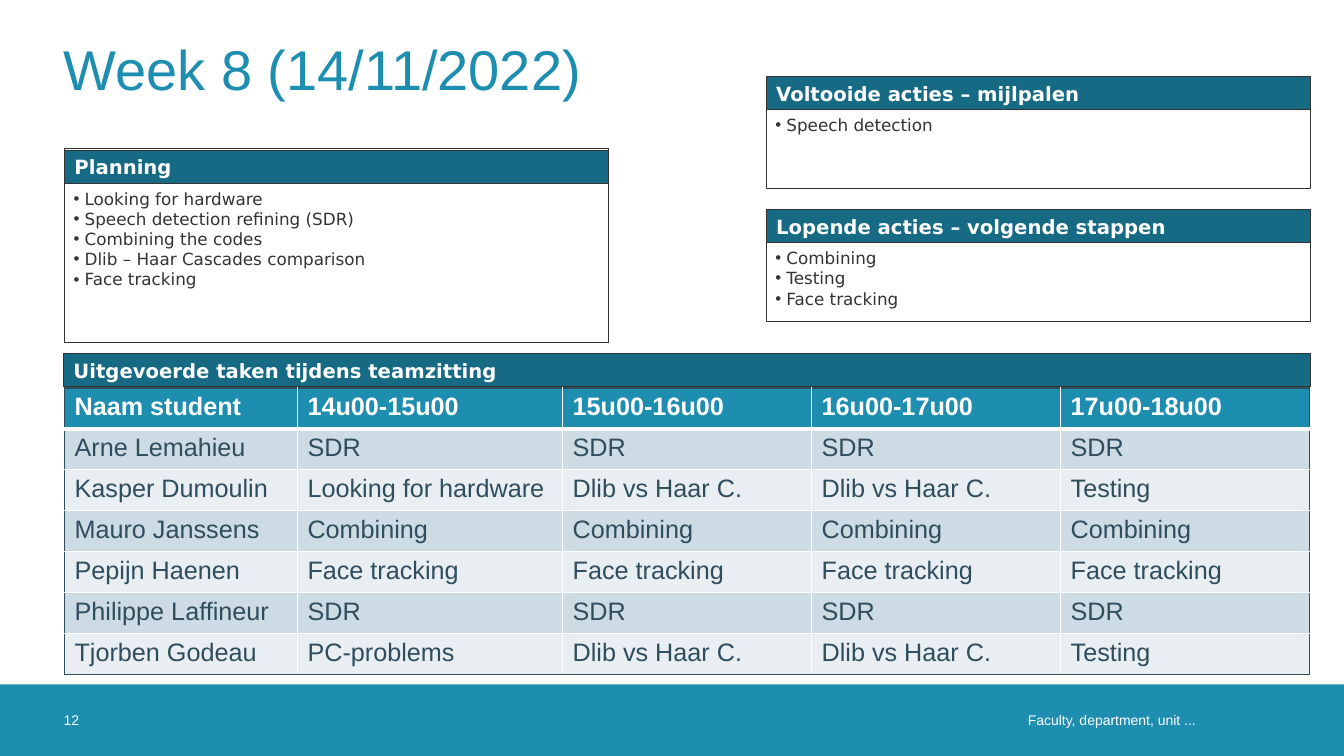
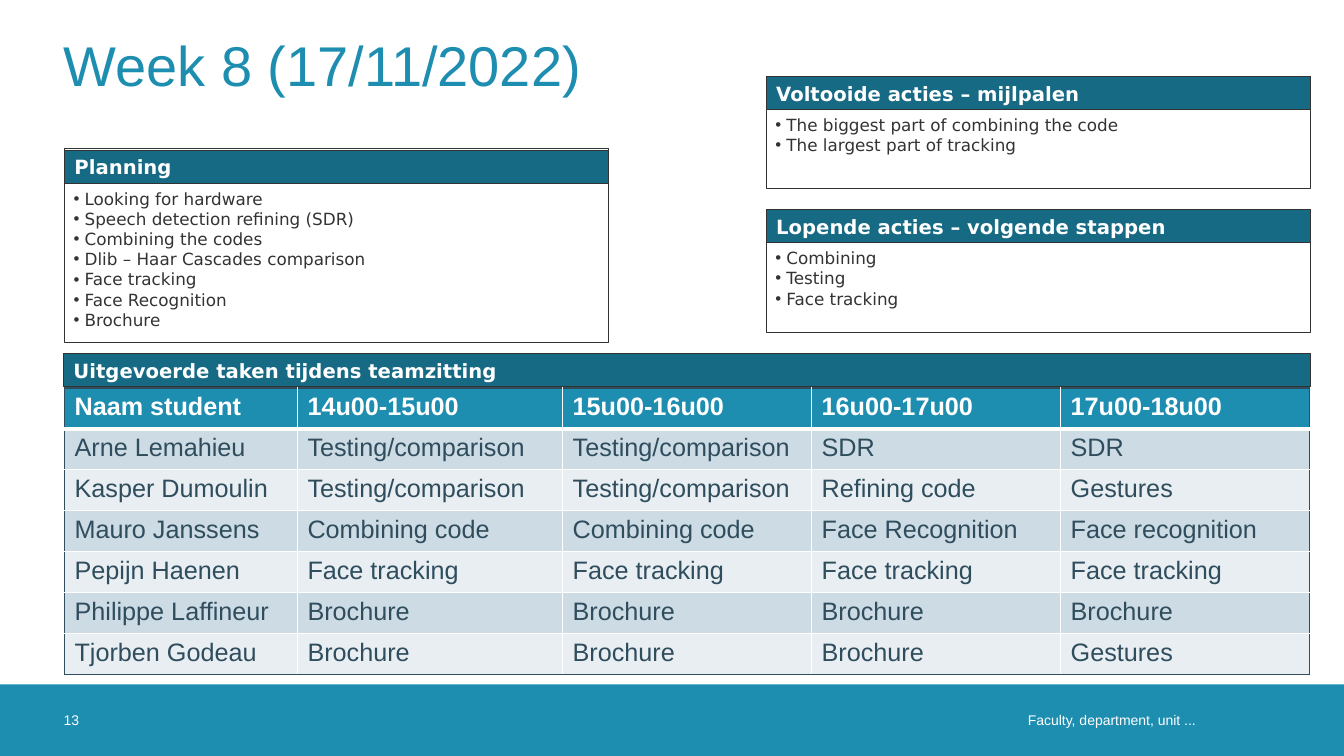
from dataclasses import dataclass
from typing import Optional

from lxml.etree import SubElement
from pptx import Presentation
from pptx.dml.color import RGBColor
from pptx.enum.shapes import MSO_SHAPE
from pptx.enum.text import MSO_ANCHOR, MSO_AUTO_SIZE, PP_ALIGN
from pptx.oxml import parse_xml
from pptx.oxml.ns import nsdecls, qn
from pptx.shapes.autoshape import Shape
from pptx.slide import Slide
from pptx.table import _Cell
from pptx.util import Inches, Pt

WHITE = RGBColor(0xFF, 0xFF, 0xFF)
BLUE = RGBColor(0x1D, 0x8D, 0xB0)
TEAL = RGBColor(0x16, 0x6A, 0x84)
DARK = RGBColor(0x33, 0x33, 0x33)
SLATE = RGBColor(0x2F, 0x4D, 0x5D)
ROW_FILLS = (RGBColor(0xE8, 0xEE, 0xF2), RGBColor(0xCD, 0xDB, 0xE4))

SANS = "Arial"
PANEL_FONT = "DejaVu Sans"
FOOTER = "Faculty, department, unit ..."
LEFT = 0.63
BAR_H = 0.33
BAND_TOP, BAND_H = 6.79, 0.71
COL_WIDTHS = (2.31, 2.63, 2.47, 2.47, 2.47)
TABLE_HEAD = ("Naam student", "14u00-15u00", "15u00-16u00", "16u00-17u00", "17u00-18u00")
PLANNING = (
    "Looking for hardware",
    "Speech detection refining (SDR)",
    "Combining the codes",
    "Dlib – Haar Cascades comparison",
    "Face tracking",
)
NEXT_STEPS = ("Combining", "Testing", "Face tracking")


@dataclass(frozen=True)
class Panel:
    """A framed list under a heading bar."""

    title: str
    items: tuple[str, ...]
    ph_idx: int
    left: float
    top: float
    height: float
    bar_gap: float = 0


@dataclass(frozen=True)
class Week:
    """The content of one team session."""

    number: int
    title: str
    title_top: float
    panels: tuple[Panel, ...]
    tasks: tuple[tuple[str, ...], ...]


def make_panels(
    planning: tuple[str, ...], done: tuple[str, ...], next_height: float
) -> tuple[Panel, ...]:
    """Return the three panels of a session."""
    return (
        Panel("Planning", planning, 2, 0.64, 1.47, 1.93, 0.02),
        Panel("Voltooide acties – mijlpalen", done, 4, 7.6, 0.76, 1.11),
        Panel("Lopende acties – volgende stappen", NEXT_STEPS, 1, 7.6, 2.08, next_height),
    )


WEEKS = (
    Week(
        12,
        "Week 8 (14/11/2022)",
        0.05,
        make_panels(PLANNING, ("Speech detection",), 1.11),
        (
            ("Arne Lemahieu", "SDR", "SDR", "SDR", "SDR"),
            ("Kasper Dumoulin", "Looking for hardware", "Dlib vs Haar C.", "Dlib vs Haar C.", "Testing"),
            ("Mauro Janssens", "Combining", "Combining", "Combining", "Combining"),
            ("Pepijn Haenen", "Face tracking", "Face tracking", "Face tracking", "Face tracking"),
            ("Philippe Laffineur", "SDR", "SDR", "SDR", "SDR"),
            ("Tjorben Godeau", "PC-problems", "Dlib vs Haar C.", "Dlib vs Haar C.", "Testing"),
        ),
    ),
    Week(
        13,
        "Week 8 (17/11/2022)",
        0.01,
        make_panels(
            PLANNING + ("Face Recognition", "Brochure"),
            ("The biggest part of combining the code", "The largest part of tracking"),
            1.22,
        ),
        (
            ("Arne Lemahieu", "Testing/comparison", "Testing/comparison", "SDR", "SDR"),
            ("Kasper Dumoulin", "Testing/comparison", "Testing/comparison", "Refining code", "Gestures"),
            ("Mauro Janssens", "Combining code", "Combining code", "Face Recognition", "Face recognition"),
            ("Pepijn Haenen", "Face tracking", "Face tracking", "Face tracking", "Face tracking"),
            ("Philippe Laffineur", "Brochure", "Brochure", "Brochure", "Brochure"),
            ("Tjorben Godeau", "Brochure", "Brochure", "Brochure", "Gestures"),
        ),
    ),
)


def place(sp: Shape, left: float, top: float, width: float, height: float) -> None:
    """Move and size a shape, in inches."""
    sp.left, sp.top = Inches(left), Inches(top)
    sp.width, sp.height = Inches(width), Inches(height)


def write(
    sp: Shape, lines: tuple[str, ...], font: str, size: float, color: RGBColor,
    bold: bool = False, anchor: MSO_ANCHOR = MSO_ANCHOR.MIDDLE,
    align: PP_ALIGN = PP_ALIGN.LEFT, inset: float = 0.1,
) -> None:
    """Fill a shape with evenly formatted paragraphs."""
    tf = sp.text_frame
    tf.word_wrap, tf.auto_size, tf.vertical_anchor = True, MSO_AUTO_SIZE.NONE, anchor
    tf.margin_left = tf.margin_right = Inches(inset)
    tf.margin_top = tf.margin_bottom = Inches(inset / 2)
    tf.text = "\n".join(lines)
    for p in tf.paragraphs:
        p.alignment, p.space_before = align, Pt(0)
        p.font.name, p.font.size, p.font.bold = font, Pt(size), bold
        p.font.color.rgb = color


def add_rect(
    s: Slide, left: float, top: float, width: float, height: float,
    fill: Optional[RGBColor] = None, line: Optional[RGBColor] = DARK,
) -> Shape:
    """Draw a flat rectangle."""
    sp = s.shapes.add_shape(
        MSO_SHAPE.RECTANGLE, Inches(left), Inches(top), Inches(width), Inches(height)
    )
    sp.shadow.inherit = False
    if fill is None:
        sp.fill.background()
    else:
        sp.fill.solid()
        sp.fill.fore_color.rgb = fill
    if line is None:
        sp.line.fill.background()
    else:
        sp.line.color.rgb, sp.line.width = line, Pt(0.75)
    return sp


def add_bar(s: Slide, text: str, left: float, top: float, width: float) -> None:
    """Draw a heading bar."""
    sp = add_rect(s, left, top, width, BAR_H, TEAL)
    write(sp, (text,), PANEL_FONT, 14, WHITE, bold=True)


def add_panel(s: Slide, panel: Panel) -> None:
    """Draw a frame with its heading bar and bulleted list."""
    width = 5.4
    bar_top = panel.top + panel.bar_gap
    add_rect(s, panel.left, panel.top, width, panel.height)
    add_bar(s, panel.title, panel.left, bar_top, width)
    body = s.placeholders[panel.ph_idx]
    list_top = bar_top + BAR_H
    place(body, panel.left - 0.01, list_top, width, panel.top + panel.height - list_top)
    write(body, panel.items, PANEL_FONT, 12, DARK, anchor=MSO_ANCHOR.TOP)
    for p in body.text_frame.paragraphs:
        pPr = p._p.get_or_add_pPr()
        pPr.set("marL", str(Inches(0.11)))
        pPr.set("indent", str(-Inches(0.11)))
        bullet = parse_xml(f'<a:buChar {nsdecls("a")} char="•"/>')
        pPr.insert_element_before(bullet, "a:tabLst", "a:defRPr", "a:extLst")


def set_borders(cell: _Cell, borders: dict[str, tuple[RGBColor, float]]) -> None:
    """Set the cell borders, keyed by side in schema order."""
    tcPr = cell._tc.get_or_add_tcPr()
    for i, (side, (color, width)) in enumerate(borders.items()):
        ln = parse_xml(f'<a:ln{side} {nsdecls("a")} w="{Pt(width)}"/>')
        fill = SubElement(ln, qn("a:solidFill"))
        SubElement(fill, qn("a:srgbClr"), val=str(color))
        tcPr.insert(i, ln)


def add_tasks(s: Slide, tasks: tuple[tuple[str, ...], ...]) -> None:
    """Draw the table of tasks by student and hour."""
    rows = (TABLE_HEAD,) + tasks
    last_row, last_col = len(rows) - 1, len(COL_WIDTHS) - 1
    table = s.shapes.add_table(
        len(rows), len(COL_WIDTHS), Inches(0.64), Inches(3.85),
        Inches(sum(COL_WIDTHS)), Inches(2.84),
    ).table
    for col, width in zip(table.columns, COL_WIDTHS):
        col.width = Inches(width)
    for r, row in enumerate(rows):
        head = r == 0
        for c, text in enumerate(row):
            cell = table.cell(r, c)
            cell.text = text
            font = cell.text_frame.paragraphs[0].font
            font.name, font.size, font.bold = SANS, Pt(18), head
            font.color.rgb = WHITE if head else SLATE
            cell.fill.solid()
            cell.fill.fore_color.rgb = BLUE if head else ROW_FILLS[r % 2]
            set_borders(cell, {
                "L": (SLATE if c == 0 else WHITE, 1),
                "R": (SLATE if c == last_col else WHITE, 1),
                "T": (SLATE if head else WHITE, 3 if r == 1 else 1),
                "B": (SLATE if r == last_row else WHITE, 3 if head else 1),
            })


def add_footer(s: Slide, number: int) -> None:
    """Draw the bottom band with page number and unit."""
    add_rect(s, 0, BAND_TOP, 13.33, BAND_H, BLUE, None)
    for text, left, width, align in (
        (FOOTER, 6.6, 5.26, PP_ALIGN.RIGHT),
        (str(number), LEFT, 0.71, PP_ALIGN.LEFT),
    ):
        sp = s.shapes.add_textbox(
            Inches(left), Inches(BAND_TOP), Inches(width), Inches(BAND_H)
        )
        write(sp, (text,), SANS, 10, WHITE, align=align, inset=0)


def add_week(prs: Presentation, week: Week) -> None:
    """Build the slide of one session."""
    s = prs.slides.add_slide(prs.slide_layouts.get_by_name("Comparison"))
    unused = s.placeholders[3]._element
    unused.getparent().remove(unused)
    add_footer(s, week.number)
    place(s.shapes.title, LEFT, week.title_top, 12.07, 1.26)
    write(s.shapes.title, (week.title,), SANS, 40, BLUE, inset=0)
    for panel in week.panels:
        add_panel(s, panel)
    add_tasks(s, week.tasks)
    add_bar(s, "Uitgevoerde taken tijdens teamzitting", LEFT, 3.51, 12.37)


def main() -> None:
    """Build and save the deck."""
    prs = Presentation()
    prs.slide_width, prs.slide_height = Inches(13.33), Inches(7.5)
    for week in WEEKS:
        add_week(prs, week)
    prs.save("out.pptx")


if __name__ == "__main__":
    main()
